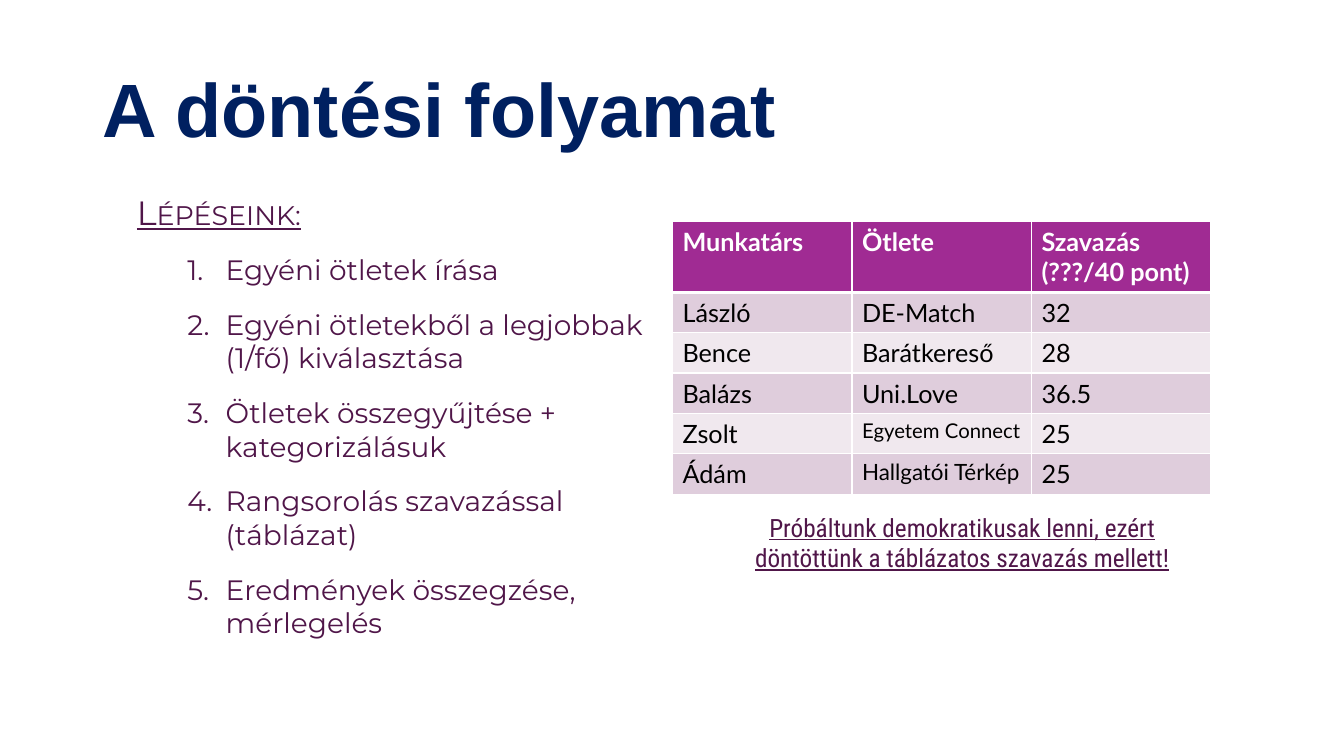
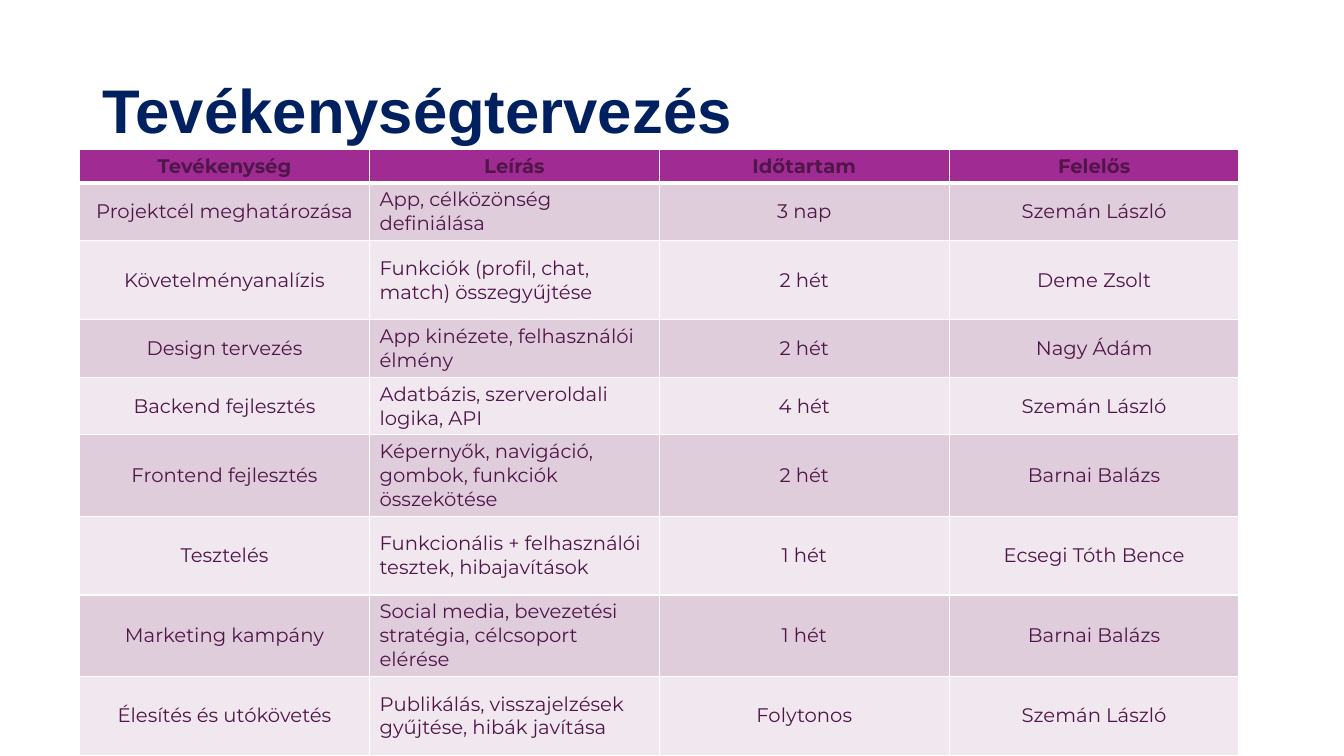
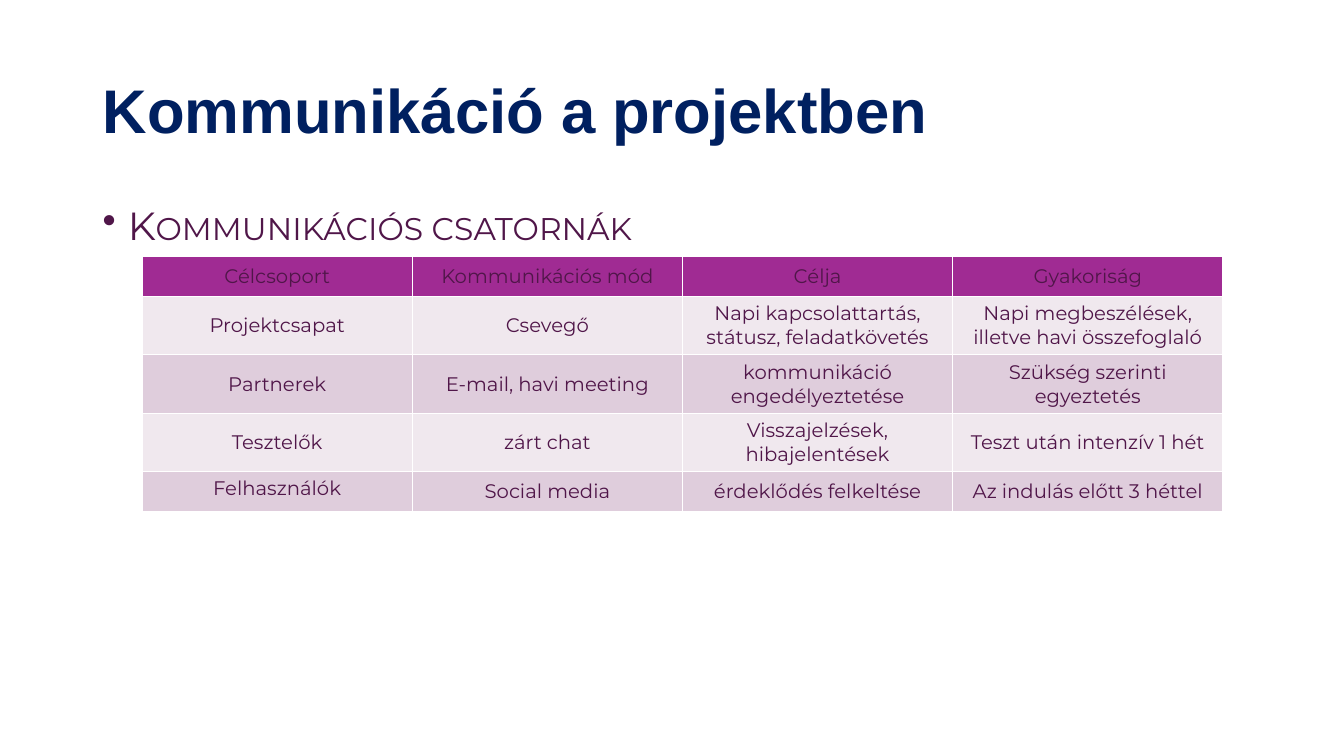
"""Builds three project-planning slides: decision process, activities, communication."""
from lxml.etree import SubElement
from pptx import Presentation
from pptx.dml.color import RGBColor
from pptx.enum.text import MSO_ANCHOR as ANCHOR, MSO_AUTO_SIZE as AUTO, PP_ALIGN as ALIGN
from pptx.oxml import parse_xml
from pptx.oxml.ns import nsdecls, qn
from pptx.util import Inches, Pt

COLORS = {"title": "002060", "text": "501649", "header": "A02B93", "dark": "DFCDDC",
          "light": "F0E8EE", "white": "FFFFFF", "black": "000000"}
BODY_FONT = "Montserrat"

STEPS_HEADING = "Lépéseink:"
STEPS = [
    "Egyéni ötletek írása",
    "Egyéni ötletekből a legjobbak (1/fő) kiválasztása",
    "Ötletek összegyűjtése + kategorizálásuk",
    "Rangsorolás szavazással (táblázat)",
    "Eredmények összegzése, mérlegelés",
]
VOTE_NOTE = "Próbáltunk demokratikusak lenni, ezért döntöttünk a táblázatos szavazás mellett!"
VOTES = [
    ("Munkatárs", "Ötlete", "Szavazás (???/40 pont)"),
    ("László", "DE-Match", "32"),
    ("Bence", "Barátkereső", "28"),
    ("Balázs", "Uni.Love", "36.5"),
    ("Zsolt", "Egyetem Connect", "25"),
    ("Ádám", "Hallgatói Térkép", "25"),
]
VOTE_HEIGHTS = [0.69] + [0.4] * 5
LONG_IDEA_SIZES = {(4, 1): 14.5, (5, 1): 16}

ACTIVITIES = [
    ("Tevékenység", "Leírás", "Időtartam", "Felelős"),
    ("Projektcél meghatározása", "App, célközönség definiálása", "3 nap", "Szemán László"),
    ("Követelményanalízis", "Funkciók (profil, chat, match) összegyűjtése", "2 hét", "Deme Zsolt"),
    ("Design tervezés", "App kinézete, felhasználói élmény", "2 hét", "Nagy Ádám"),
    ("Backend fejlesztés", "Adatbázis, szerveroldali logika, API", "4 hét", "Szemán László"),
    ("Frontend fejlesztés", "Képernyők, navigáció, gombok, funkciók összekötése", "2 hét",
     "Barnai Balázs"),
    ("Tesztelés", "Funkcionális + felhasználói tesztek, hibajavítások", "1 hét",
     "Ecsegi Tóth Bence"),
    ("Marketing kampány", "Social media, bevezetési stratégia, célcsoport elérése", "1 hét",
     "Barnai Balázs"),
    ("Élesítés és utókövetés", "Publikálás, visszajelzések gyűjtése, hibák javítása", "Folytonos",
     "Szemán László"),
]
ACTIVITY_HEIGHTS = [0.33, 0.57, 0.79, 0.57, 0.57, 0.81, 0.78, 0.81, 0.78]

CHANNELS_HEADING = "Kommunikációs csatornák"
CHANNELS = [
    ("Célcsoport", "Kommunikációs mód", "Célja", "Gyakoriság"),
    ("Projektcsapat", "Csevegő", "Napi kapcsolattartás, státusz, feladatkövetés",
     "Napi megbeszélések, illetve havi összefoglaló"),
    ("Partnerek", "E-mail, havi meeting", "kommunikáció engedélyeztetése",
     "Szükség szerinti egyeztetés"),
    ("Tesztelők", "zárt chat", "Visszajelzések, hibajelentések", "Teszt után intenzív 1 hét"),
    ("Felhasználók", "Social media", "érdeklődés felkeltése", "Az indulás előtt 3 héttel"),
]
CHANNEL_HEIGHTS = [0.4, 0.58, 0.58, 0.58, 0.4]


def style(p, size, color="text", font=BODY_FONT, bold=False, underline=False, small_caps=False):
    for r in p.runs:
        r.font.size, r.font.name = Pt(size), font
        r.font.bold, r.font.underline = bold, underline
        r.font.color.rgb = RGBColor.from_string(COLORS[color])
        if small_caps:
            r.font._element.set("cap", "small")


def bullet(p, left, hanging, tag, **attrs):
    pPr = p._p.get_or_add_pPr()
    pPr.set("marL", str(Inches(left)))
    pPr.set("indent", str(-Inches(hanging)))
    SubElement(pPr, qn(tag), **attrs)


def add_text(s, lines, left, top, width, height, auto_size=AUTO.NONE):
    tf = s.shapes.add_textbox(Inches(left), Inches(top), Inches(width), Inches(height)).text_frame
    tf.text = "\n".join(lines)
    tf.word_wrap, tf.auto_size = True, auto_size
    return tf


def add_title_slide(prs, title, size=44, width=11.5):
    s = prs.slides.add_slide(prs.slide_layouts[6])
    tf = add_text(s, [title], 0.92, 0.4, width, 1.45)
    tf.vertical_anchor = ANCHOR.MIDDLE
    p = tf.paragraphs[0]
    p.line_spacing = 0.9
    style(p, size, "title", "Arial", bold=True)
    return s


def set_borders(cell, bottom):
    tcPr = cell._tc.get_or_add_tcPr()
    for i, (side, points) in enumerate((("L", 1), ("R", 1), ("T", 1), ("B", bottom))):
        tcPr.insert(i, parse_xml(
            f'<a:ln{side} {nsdecls("a")} w="{Pt(points)}"><a:solidFill>'
            f'<a:srgbClr val="{COLORS["white"]}"/></a:solidFill></a:ln{side}>'))


def add_grid(s, rows, heights, left, top, width, bands=("dark", "light"), header_line=3):
    cols = len(rows[0])
    table = s.shapes.add_table(len(rows), cols, Inches(left), Inches(top),
                               Inches(width), Inches(sum(heights))).table
    table.horz_banding = False
    for col in table.columns:
        col.width = Inches(width / cols)
    for i, (texts, height) in enumerate(zip(rows, heights)):
        table.rows[i].height = Inches(height)
        for cell, text in zip(table.rows[i].cells, texts):
            cell.text = text
            cell.fill.solid()
            fill = bands[(i - 1) % 2] if i else "header"
            cell.fill.fore_color.rgb = RGBColor.from_string(COLORS[fill])
            set_borders(cell, 1 if i else header_line)
    return table


def style_centred(table, bold_header=False, left_col=None):
    for i, row in enumerate(table.rows):
        for j, cell in enumerate(row.cells):
            p = cell.text_frame.paragraphs[0]
            p.alignment = ALIGN.LEFT if i and j == left_col else ALIGN.CENTER
            cell.vertical_anchor = ANCHOR.MIDDLE
            style(p, 14, bold=bold_header and i == 0)


def decision_slide(prs):
    s = add_title_slide(prs, "A döntési folyamat", 54, 7.31)
    table = add_grid(s, VOTES, VOTE_HEIGHTS, 6.67, 2.2, 5.34)
    for i, row in enumerate(table.rows):
        for j, cell in enumerate(row.cells):
            style(cell.text_frame.paragraphs[0], LONG_IDEA_SIZES.get((i, j), 18),
                  "black" if i else "white", "Lato", bold=i == 0)

    tf = add_text(s, [STEPS_HEADING, *STEPS], 1.26, 1.85, 5.41, 4.92, AUTO.SHAPE_TO_FIT_TEXT)
    heading, *steps = tf.paragraphs
    style(heading, 24, underline=True, small_caps=True)
    for p in steps:
        p.level = 1
        bullet(p, 0.88, 0.38, "a:buAutoNum", type="arabicPeriod")
        style(p, 20)
    for p in tf.paragraphs:
        p.space_after = Pt(15)

    p = add_text(s, [VOTE_NOTE], 7.36, 5.03, 4.37, 0.71, AUTO.SHAPE_TO_FIT_TEXT).paragraphs[0]
    p.alignment = ALIGN.CENTER
    style(p, 18, font="Roboto Condensed", underline=True)


def activity_slide(prs):
    s = add_title_slide(prs, "Tevékenységtervezés")
    table = add_grid(s, ACTIVITIES, ACTIVITY_HEIGHTS, 0.79, 1.48, 11.5)
    style_centred(table, bold_header=True, left_col=1)


def communication_slide(prs):
    s = add_title_slide(prs, "Kommunikáció a projektben")
    p = add_text(s, [CHANNELS_HEADING], 0.92, 2, 11.5, 4.76).paragraphs[0]
    bullet(p, 0.25, 0.25, "a:buChar", char="•")
    p.line_spacing = 0.9
    style(p, 28, small_caps=True)
    table = add_grid(s, CHANNELS, CHANNEL_HEIGHTS, 1.41, 2.54, 10.72, ("light", "dark"), 1)
    style_centred(table)
    table.cell(len(CHANNELS) - 1, 0).vertical_anchor = ANCHOR.TOP


def main():
    prs = Presentation()
    prs.slide_width, prs.slide_height = Inches(13.33), Inches(7.5)
    decision_slide(prs)
    activity_slide(prs)
    communication_slide(prs)
    prs.save("out.pptx")


if __name__ == "__main__":
    main()
